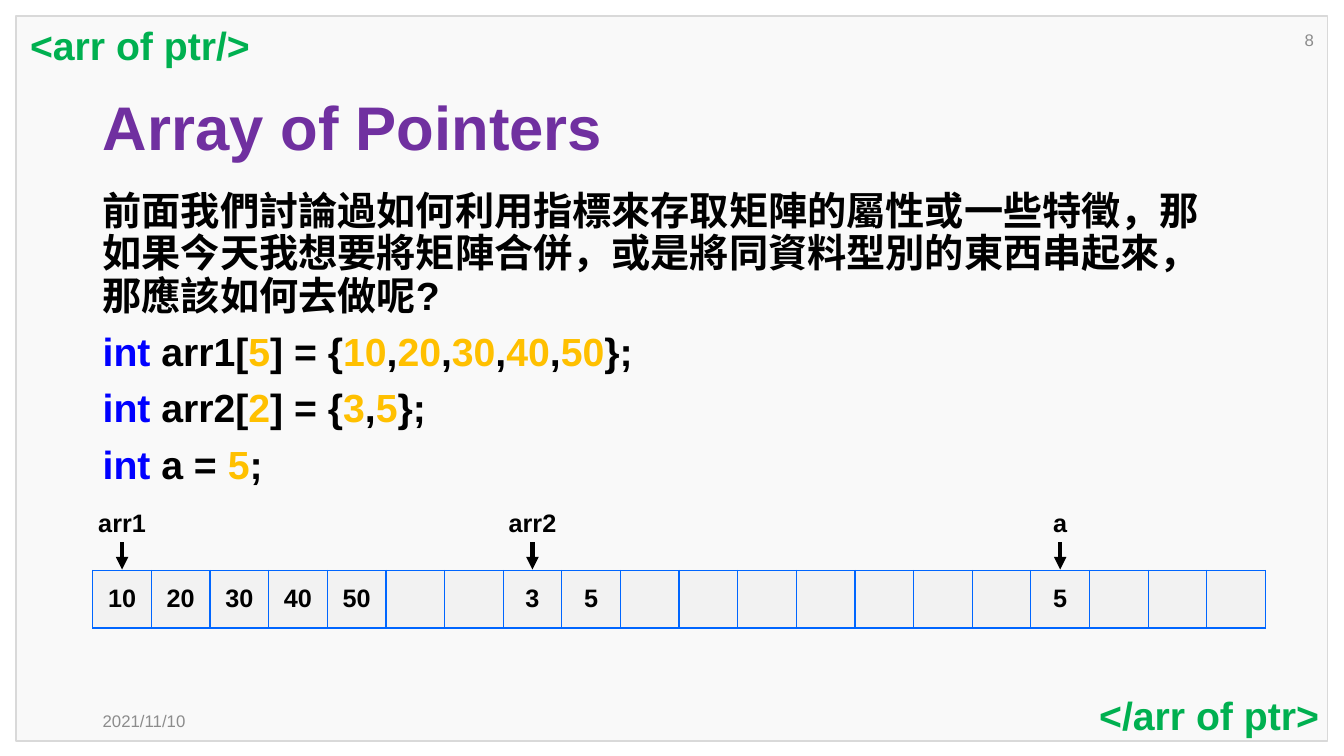
from pptx import Presentation
from pptx.dml.color import RGBColor
from pptx.enum.shapes import MSO_CONNECTOR, MSO_SHAPE
from pptx.enum.text import MSO_ANCHOR, PP_ALIGN
from pptx.oxml.ns import qn
from pptx.util import Inches, Pt
from lxml.etree import SubElement

COLORS = {
    "panel": "F9F9F9", "panel_line": "D9D9D9", "muted": "8C8C8C",
    "title": "7030A0", "tag": "00B050", "text": "000000",
    "keyword": "0000FF", "number": "FFC000",
    "cell": "F2F2F2", "border": "0066FF",
}
INTRO = ("前面我們討論過如何利用指標來存取矩陣的屬性或一些特徵，"
         "那如果今天我想要將矩陣合併，或是將同資料型別的東西串起來，"
         "那應該如何去做呢?")
CODE = [
    "int| arr1[|5|] = {|10|,|20|,|30|,|40|,|50|};",
    "int| arr2[|2|] = {|3|,|5|};",
    "int| a = |5|;",
]
CELL_COUNT = 20
MEMORY = {0: 10, 1: 20, 2: 30, 3: 40, 4: 50, 7: 3, 8: 5, 16: 5}
POINTERS = {"arr1": 0, "arr2": 7, "a": 16}


def rgb(name):
    return RGBColor.from_string(COLORS[name])


def style(p, size, color, bold=True, align=PP_ALIGN.LEFT):
    p.alignment = align
    p.font.name = "Arial"
    p.font.size = Pt(size)
    p.font.bold = bold
    p.font.color.rgb = rgb(color)


def add_text(slide, box, text, size, color, bold=True, align=PP_ALIGN.LEFT,
             anchor=MSO_ANCHOR.TOP, wrap=True):
    tf = slide.shapes.add_textbox(*map(Inches, box)).text_frame
    tf.word_wrap = wrap
    tf.vertical_anchor = anchor
    p = tf.paragraphs[0]
    p.text = text
    style(p, size, color, bold, align)
    return tf


def add_frame(slide, box):
    left, top, width, height = box
    sp = slide.shapes.add_shape(MSO_SHAPE.RECTANGLE, *map(Inches, box))
    sp.shadow.inherit = False
    sp.fill.solid()
    sp.fill.fore_color.rgb = rgb("panel")
    sp.line.color.rgb = rgb("panel_line")
    sp.line.width = Pt(1)
    right, bottom = left + width, top + height
    add_text(slide, (left + 0.76, bottom - 0.4, 1.06, 0.4), "2021/11/10",
             12, "muted", False, anchor=MSO_ANCHOR.MIDDLE)
    add_text(slide, (right - 0.46, top + 0.04, 0.42, 0.4), "8",
             12, "muted", False, PP_ALIGN.RIGHT, MSO_ANCHOR.MIDDLE)
    add_text(slide, (left + 0.04, top, 2.41, 0.57), "<arr of ptr/>",
             28, "tag", wrap=False)
    add_text(slide, (right - 2.4, bottom - 0.54, 2.41, 0.57), "</arr of ptr>",
             28, "tag", align=PP_ALIGN.RIGHT, wrap=False)


def add_title(slide, box):
    tf = add_text(slide, box, "Array of Pointers", 44, "title",
                  anchor=MSO_ANCHOR.MIDDLE)
    tf.paragraphs[0].line_spacing = 0.9


def add_body(slide, box):
    tf = add_text(slide, box, INTRO, 28, "text")
    for line in CODE:
        p = tf.add_paragraph()
        style(p, 28, "text")
        for token in line.split("|"):
            r = p.add_run()
            r.text = token
            color = ("keyword" if token == "int" else
                     "number" if token.isdigit() else "text")
            r.font.color.rgb = rgb(color)
    for p in tf.paragraphs:
        p.line_spacing = 0.9
        p.space_before = Pt(10)


def add_borders(cell):
    tc_pr = cell._tc.get_or_add_tcPr()
    for side in ("lnL", "lnR", "lnT", "lnB"):
        ln = SubElement(tc_pr, qn(f"a:{side}"), w=str(Pt(1)))
        fill = SubElement(ln, qn("a:solidFill"))
        SubElement(fill, qn("a:srgbClr"), val=COLORS["border"])


def add_memory(slide, box):
    table = slide.shapes.add_table(1, CELL_COUNT, *map(Inches, box)).table
    table.first_row = table.horz_banding = False
    for i, column in enumerate(table.columns):
        column.width = Inches(box[2] / CELL_COUNT)
        cell = table.cell(0, i)
        add_borders(cell)
        cell.fill.solid()
        cell.fill.fore_color.rgb = rgb("cell")
        cell.vertical_anchor = MSO_ANCHOR.MIDDLE
        p = cell.text_frame.paragraphs[0]
        p.text = str(MEMORY.get(i, ""))
        style(p, 18, "text", align=PP_ALIGN.CENTER)


def add_pointers(slide, box):
    left, top, width, _ = box
    for name, index in POINTERS.items():
        x = left + (index + 0.5) * width / CELL_COUNT
        arrow = slide.shapes.add_connector(
            MSO_CONNECTOR.STRAIGHT,
            *map(Inches, (x, top - 0.28, x, top - 0.01)))
        arrow.line.color.rgb = rgb("text")
        arrow.line.width = Pt(3)
        SubElement(arrow.line._get_or_add_ln(), qn("a:tailEnd"), type="triangle")
        SubElement(arrow._element.spPr, qn("a:effectLst"))
        add_text(slide, (x - 0.34, top - 0.68, 0.68, 0.4), name, 18, "text",
                 align=PP_ALIGN.CENTER, wrap=False)


prs = Presentation()
prs.slide_width = Inches(13.33)
prs.slide_height = Inches(7.5)
slide = prs.slides.add_slide(prs.slide_layouts[6])
memory_box = (0.92, 5.66, 11.63, 0.57)
add_frame(slide, (0.16, 0.16, 13.01, 7.19))
add_title(slide, (0.92, 0.74, 10.74, 1.11))
add_body(slide, (0.92, 1.85, 11.26, 3.61))
add_memory(slide, memory_box)
add_pointers(slide, memory_box)
prs.save("out.pptx")
